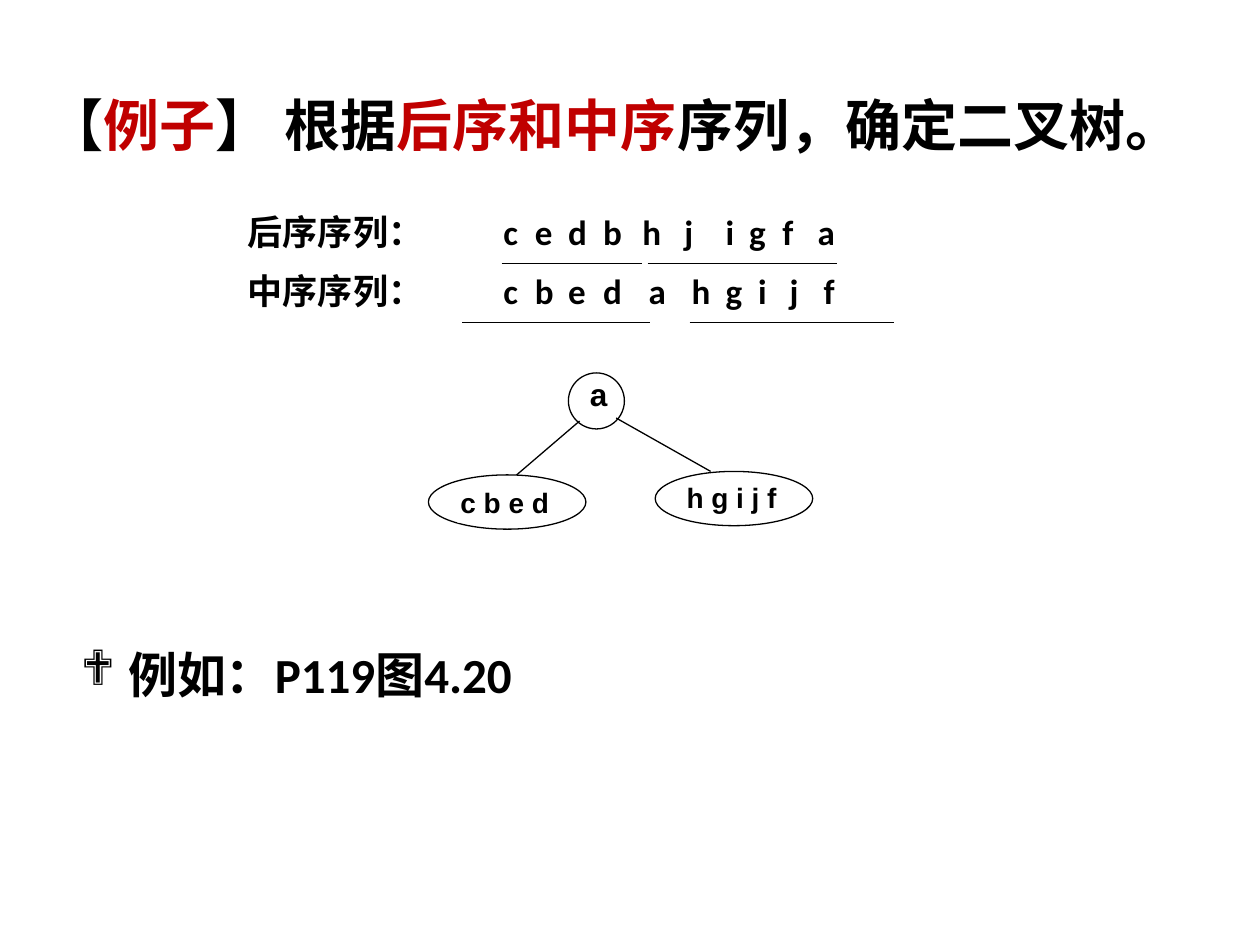
from dataclasses import dataclass

from lxml.etree import SubElement
from pptx import Presentation
from pptx.dml.color import RGBColor
from pptx.enum.shapes import MSO_CONNECTOR, MSO_SHAPE
from pptx.enum.text import MSO_ANCHOR, MSO_AUTO_SIZE, PP_ALIGN
from pptx.oxml.ns import qn
from pptx.util import Pt


@dataclass(frozen=True)
class Theme:
    ink: RGBColor = RGBColor(0, 0, 0)
    accent: RGBColor = RGBColor(0xC0, 0, 0)
    paper: RGBColor = RGBColor(255, 255, 255)
    body_font: str = "Calibri"
    asian_font: str = "Noto Sans CJK SC"
    node_font: str = "Arial"
    title_size: int = 32
    list_size: int = 28
    sequence_size: int = 20
    root_size: int = 18
    subtree_size: int = 16
    line_width: float = 0.75


THEME = Theme()


def place(shape, left, top, width, height):
    shape.left, shape.top = Pt(left), Pt(top)
    shape.width, shape.height = Pt(width), Pt(height)


def set_text(shape, text, size, font=THEME.body_font, align=PP_ALIGN.LEFT, spacing=1.0,
             inset=(7.2, 3.6), wrap=True, bullet=None, indent=0, tabs=()):
    """Write text, or a list of (text, colour) runs, as one bold paragraph."""
    frame = shape.text_frame
    frame.auto_size = MSO_AUTO_SIZE.NONE
    frame.word_wrap = wrap
    frame.vertical_anchor = MSO_ANCHOR.TOP
    frame.margin_left = frame.margin_right = Pt(inset[0])
    frame.margin_top = frame.margin_bottom = Pt(inset[1])
    paragraph = frame.paragraphs[0]
    paragraph.alignment = align
    paragraph.line_spacing = spacing
    paragraph.space_before = Pt(0)
    properties = paragraph._p.get_or_add_pPr()
    if bullet:
        properties.set("marL", str(Pt(indent)))
        properties.set("indent", str(-Pt(indent)))
        SubElement(properties, qn("a:buFont"), typeface="Wingdings")
        SubElement(properties, qn("a:buChar"), char=bullet)
    if tabs:
        tab_list = SubElement(properties, qn("a:tabLst"))
        for position in tabs:
            SubElement(tab_list, qn("a:tab"), pos=str(Pt(position)), algn="l")
    runs = [(text, THEME.ink)] if isinstance(text, str) else text
    for words, color in runs:
        run = paragraph.add_run()
        run.text = words
        run.font.size, run.font.bold, run.font.name = Pt(size), True, font
        run.font.color.rgb = color
        SubElement(run._r.get_or_add_rPr(), qn("a:ea"), typeface=THEME.asian_font)


def add_line(slide, start, end):
    line = slide.shapes.add_connector(
        MSO_CONNECTOR.STRAIGHT, *(Pt(value) for value in (*start, *end)))
    line.line.color.rgb = THEME.ink
    line.line.width = Pt(THEME.line_width)
    SubElement(line._element.spPr, qn("a:effectLst"))


def add_filled(slide, kind, box, outlined):
    shape = slide.shapes.add_shape(kind, *(Pt(value) for value in box))
    shape.shadow.inherit = False
    shape.fill.solid()
    shape.fill.fore_color.rgb = THEME.paper
    if outlined:
        shape.line.color.rgb = THEME.ink
        shape.line.width = Pt(THEME.line_width)
    else:
        shape.line.fill.background()
    return shape


def add_title(slide, box):
    title = slide.shapes.title
    place(title, *box)
    set_text(title, [("【", THEME.ink), ("例子", THEME.accent), ("】 根据", THEME.ink),
                     ("后序和中序", THEME.accent), ("序列，确定二叉树。", THEME.ink)],
             THEME.title_size, wrap=False)


def add_sequences(slide, box):
    """Two rows: a label, letter groups on tab stops, and underlines."""
    left, top, width, height = box
    pitch = height / 2
    # Each group: letters, left edge, width, tab stops
    rows = [
        ("后序序列：",
         [("c e d b", 146, 88, (18, 37, 57)), ("h j i g f", 225.4, 106, (24, 47.5, 61, 80)),
          ("a", 325.5, 25, ())],
         [(152, 232), (235.5, 343.5)]),
        ("中序序列：",
         [("c b e d", 146, 102, (18, 37, 57)), ("a", 229, 25, ()),
          ("h g i j f", 253.5, 106, (19.5, 38, 56, 75.5))],
         [(129.5, 237), (259.5, 376)]),
    ]
    for index, (label, groups, underlines) in enumerate(rows):
        row_top = top + index * pitch
        for text, offset, group_width, tabs in [(label, 0, 116, ()), *groups]:
            text_box = slide.shapes.add_textbox(
                Pt(left + offset), Pt(row_top), Pt(group_width), Pt(31.5))
            set_text(text_box, text.replace(" ", "\t"), THEME.sequence_size,
                     tabs=tabs, wrap=bool(tabs))
        for start, end in underlines:
            line_top = row_top + 34
            add_line(slide, (left + start, line_top), (left + end, line_top))


def add_tree(slide, box):
    """Root and two subtrees: ellipse, branch from the root, then label."""
    left, top, width, height = box
    # Each node: text, size, ellipse, label box, branch
    nodes = [
        ("a", THEME.root_size, (80, 0, 32, 32), (89.3, 8, 16, 16), None),
        ("c b e d", THEME.subtree_size, (0, 58.3, 90, 31), (16.6, 70.5, 54, 15),
         ((86.4, 27.5), (50.4, 58.3))),
        ("h g i j f", THEME.subtree_size, (129.6, 56.3, 90, 31), (146.2, 67.5, 54, 15),
         ((107.3, 25.8), (161.3, 56.3))),
    ]
    for text, size, ellipse, label, branch in nodes:
        def shift(part):
            return (left + part[0], top + part[1], *part[2:])

        add_filled(slide, MSO_SHAPE.OVAL, shift(ellipse), True)
        if branch:
            add_line(slide, shift(branch[0]), shift(branch[1]))
        plate = add_filled(slide, MSO_SHAPE.RECTANGLE, shift(label), False)
        set_text(plate, text, size, font=THEME.node_font, align=PP_ALIGN.CENTER,
                 spacing=0.64, inset=(0, 0))


def add_reference(slide, box):
    body = slide.placeholders[1]
    place(body, *box)
    set_text(body, "例如：P119图4.20", THEME.list_size, spacing=1.5, bullet="❖", indent=27)


def main():
    presentation = Presentation()
    presentation.slide_width, presentation.slide_height = Pt(720), Pt(540)
    slide = presentation.slides.add_slide(presentation.slide_layouts[1])
    add_title(slide, (20, 48, 678, 46))
    add_sequences(slide, (134.6, 116.6, 376, 67.6))
    add_tree(slide, (244.8, 213.1, 219.6, 89.3))
    add_reference(slide, (39, 348, 644, 52.5))
    presentation.save("out.pptx")


if __name__ == "__main__":
    main()
